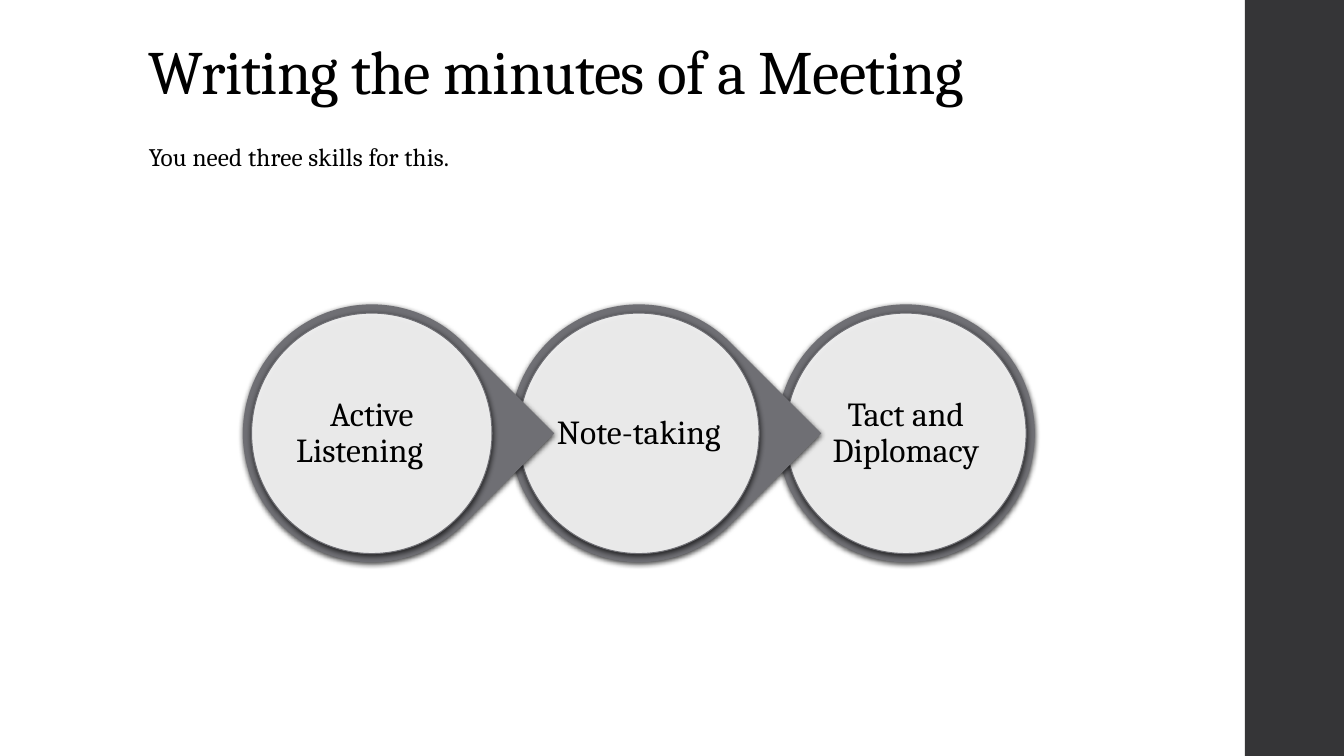
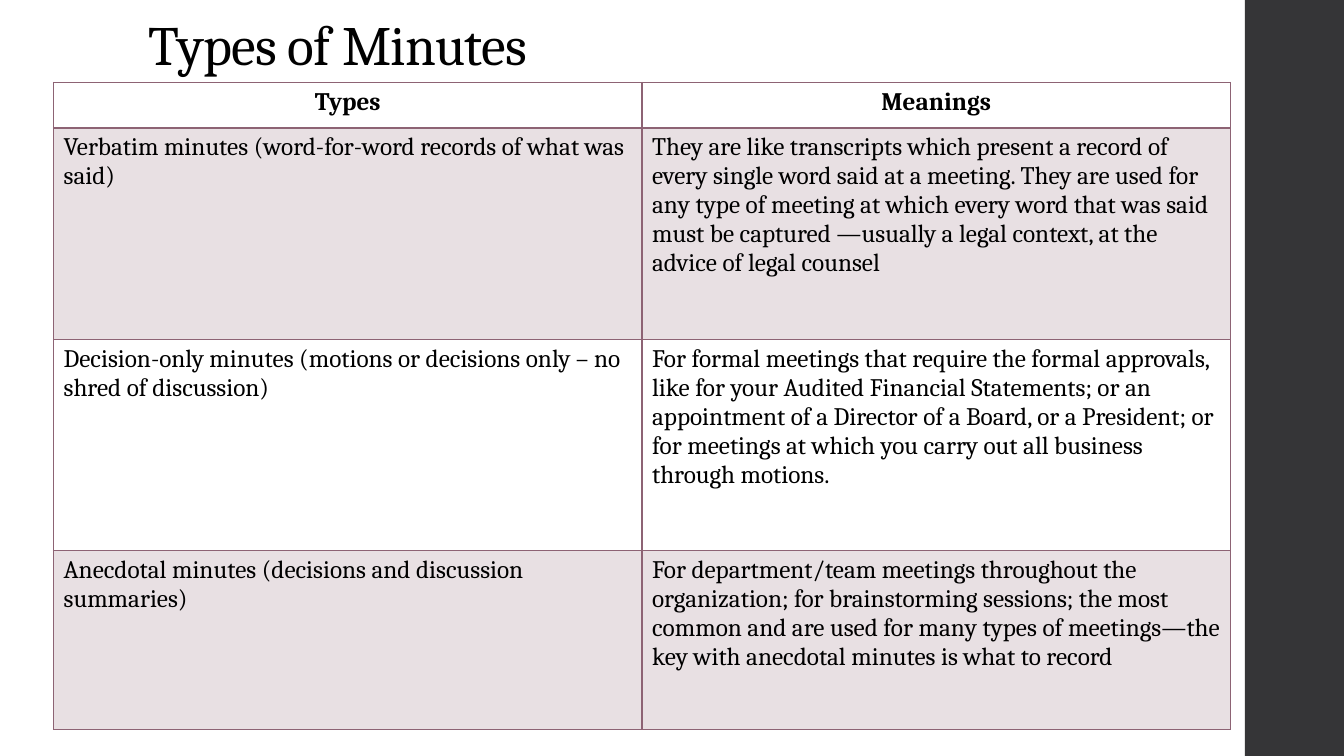
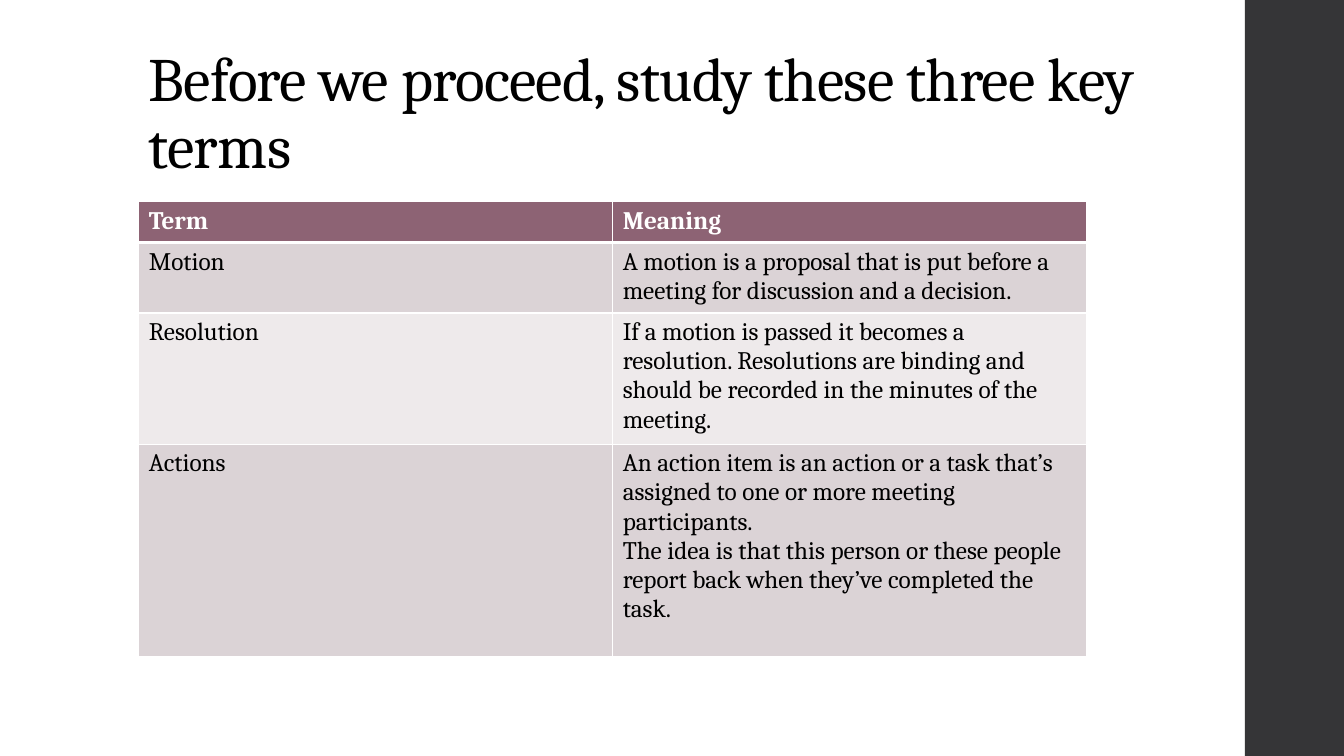
import dataclasses

import lxml.etree
import pptx
import pptx.dml.color
import pptx.enum.shapes
import pptx.enum.text
import pptx.oxml.ns
import pptx.util

Cm = pptx.util.Cm
Pt = pptx.util.Pt
PRESET = pptx.enum.shapes.MSO_SHAPE
ALIGN = pptx.enum.text.PP_ALIGN
ANCHOR = pptx.enum.text.MSO_ANCHOR


@dataclasses.dataclass(frozen=True)
class Theme:
    font: str = "Cambria"
    ink: str = "000000"
    paper: str = "FFFFFF"
    band: str = "353537"
    ring: str = "6F6F74"
    plum: str = "8D6374"
    plum_wash: str = "E8E0E3"
    plum_dark_row: str = "DBD3D6"
    plum_light_row: str = "EEEAEB"
    title_size: float = 44
    small_title_size: float = 39.6
    skill_size: float = 24
    body_size: float = 18


@dataclasses.dataclass(frozen=True)
class TableLook:
    header_fill: str
    header_ink: str
    header_align: object
    row_fills: tuple
    border: str
    header_rule: float


THEME = Theme()
SLIDE_WIDTH, SLIDE_HEIGHT = 33.87, 19.05
BAND_LEFT = 31.37
MARGIN = 3.5

OUTLINED = TableLook(None, THEME.ink, ALIGN.CENTER,
                     (THEME.plum_wash, None), THEME.plum, 2)
BANDED = TableLook(THEME.plum, THEME.paper, ALIGN.LEFT,
                   (THEME.plum_dark_row, THEME.plum_light_row), THEME.paper, 3)

SKILLS = ["Active Listening\t", "Note-taking", "Tact and Diplomacy"]

MINUTES_TYPES = [
    ("Types", "Meanings"),
    ("Verbatim minutes (word-for-word records of what was said)",
     "They are like transcripts which present a record of every single word said "
     "at a meeting. They are used for any type of meeting at which every word that "
     "was said must be captured —usually a legal context, at the advice of legal "
     "counsel"),
    ("Decision-only minutes (motions or decisions only – no shred of discussion)",
     "For formal meetings that require the formal approvals, like for your Audited "
     "Financial Statements; or an appointment of a Director of a Board, or a "
     "President; or for meetings at which you carry out all business through "
     "motions."),
    ("Anecdotal minutes (decisions and discussion summaries)",
     "For department/team meetings throughout the organization; for brainstorming "
     "sessions; the most common and are used for many types of meetings—the key "
     "with anecdotal minutes is what to record"),
]

KEY_TERMS = [
    ("Term", "Meaning"),
    ("Motion",
     "A motion is a proposal that is put before a meeting for discussion and a "
     "decision."),
    ("Resolution",
     "If a motion is passed it becomes a resolution. Resolutions are binding and "
     "should be recorded in the minutes of the meeting."),
    ("Actions",
     "An action item is an action or a task that’s assigned to one or more meeting "
     "participants.\nThe idea is that this person or these people report back when "
     "they’ve completed the task."),
]


def apply_format(target, values):
    for attribute, value in values.items():
        setattr(target, attribute, value)


def rgb(code):
    return pptx.dml.color.RGBColor.from_string(code)


def add_node(parent, tag, **attributes):
    node = lxml.etree.SubElement(parent, pptx.oxml.ns.qn(tag))
    for key, value in attributes.items():
        node.set(key, str(value))
    return node


def paint(fill, color):
    if color is None:
        fill.background()
    else:
        fill.solid()
        fill.fore_color.rgb = rgb(color)


def write(frame, text, size, color=THEME.ink, bold=False, align=ALIGN.LEFT,
          line_spacing=1.0, tracking=0):
    frame.word_wrap = True
    for index, line in enumerate(text.split("\n")):
        paragraph = frame.add_paragraph() if index else frame.paragraphs[0]
        apply_format(paragraph, {"alignment": align, "line_spacing": line_spacing})
        run = paragraph.add_run()
        run.text = line
        apply_format(run.font, {"name": THEME.font, "size": Pt(size), "bold": bold})
        run.font.color.rgb = rgb(color)
        if tracking:
            run._r.get_or_add_rPr().set("spc", str(tracking))


def add_text(slide, text, left, top, width, height, size, anchor, **style):
    frame = slide.shapes.add_textbox(
        Cm(left), Cm(top), Cm(width), Cm(height)).text_frame
    frame.vertical_anchor = anchor
    write(frame, text, size, **style)


def add_preset(slide, preset, left, top, width, height, color):
    shape = slide.shapes.add_shape(preset, Cm(left), Cm(top), Cm(width), Cm(height))
    shape.shadow.inherit = False
    paint(shape.fill, color)
    shape.line.fill.background()
    return shape


def add_soft_shadow(shape):
    effects = shape._element.spPr.find(pptx.oxml.ns.qn("a:effectLst"))
    shadow = add_node(effects, "a:outerShdw", blurRad=Pt(4), dist=Pt(1.2),
                      dir=5400000, rotWithShape=0)
    black = add_node(shadow, "a:srgbClr", val=THEME.ink)
    add_node(black, "a:alpha", val=75000)


def add_titled_slide(deck, title, bottom, size=THEME.title_size):
    slide = deck.slides.add_slide(deck.slide_layouts[6])
    add_preset(slide, PRESET.RECTANGLE, BAND_LEFT, 0,
               SLIDE_WIDTH - BAND_LEFT, SLIDE_HEIGHT, THEME.band)
    top = min(1, bottom - 1)
    add_text(slide, title, MARGIN, top, 26.92, bottom - top, size, ANCHOR.BOTTOM,
             line_spacing=0.9, tracking=-50)
    return slide


def add_skill(slide, skill, left, top, points_on):
    diameter, rim = 6.5, 0.22
    ring = add_preset(slide, PRESET.TEAR if points_on else PRESET.OVAL,
                      left, top, diameter, diameter, THEME.ring)
    ring.rotation = 45 if points_on else 0
    add_soft_shadow(ring)

    face_size = diameter - 2 * rim
    face = add_preset(slide, PRESET.OVAL, left + rim, top + rim,
                      face_size, face_size, THEME.paper)
    add_soft_shadow(face)
    face_color = face._element.spPr.find(
        pptx.oxml.ns.qn("a:solidFill")).find(pptx.oxml.ns.qn("a:srgbClr"))
    add_node(face_color, "a:alpha", val=90000)
    face.line.color.rgb = rgb(THEME.ring)
    face.line.width = Pt(0.75)
    apply_format(face.text_frame, {
        "vertical_anchor": ANCHOR.MIDDLE,
        "margin_left": Cm(0.05), "margin_right": Cm(0.05),
        "margin_top": Cm(0.05), "margin_bottom": Cm(0.05),
    })
    write(face.text_frame, skill, THEME.skill_size,
          align=ALIGN.CENTER, line_spacing=0.9)


def add_skill_chain(slide, skills, left, top, pitch):
    last = len(skills) - 1
    for index in range(last, -1, -1):
        add_skill(slide, skills[index], left + index * pitch, top, index < last)


def set_borders(cell, color, top, bottom):
    properties = cell._tc.get_or_add_tcPr()
    for side, width in {"L": 1, "R": 1, "T": top, "B": bottom}.items():
        line = add_node(properties, "a:ln" + side, w=Pt(width))
        add_node(add_node(line, "a:solidFill"), "a:srgbClr", val=color)


def add_text_table(slide, rows, left, top, column_width, row_heights, look):
    columns = len(rows[0])
    table = slide.shapes.add_table(
        len(rows), columns, Cm(left), Cm(top),
        Cm(column_width * columns), Cm(sum(row_heights))).table
    apply_format(table, {"first_row": False, "horz_banding": False})
    for column in table.columns:
        column.width = Cm(column_width)
    for row_index, (texts, height) in enumerate(zip(rows, row_heights)):
        table.rows[row_index].height = Cm(height)
        header = row_index == 0
        fill = look.header_fill if header else look.row_fills[(row_index - 1) % 2]
        for column_index, text in enumerate(texts):
            cell = table.cell(row_index, column_index)
            set_borders(cell, look.border,
                        top=look.header_rule if row_index == 1 else 1,
                        bottom=look.header_rule if header else 1)
            paint(cell.fill, fill)
            write(cell.text_frame, text, THEME.body_size,
                  color=look.header_ink if header else THEME.ink, bold=header,
                  align=look.header_align if header else ALIGN.LEFT)


def main():
    deck = pptx.Presentation()
    apply_format(deck, {"slide_width": Cm(SLIDE_WIDTH),
                        "slide_height": Cm(SLIDE_HEIGHT)})

    skills_slide = add_titled_slide(deck, "Writing the minutes of a Meeting", 2.85)
    add_text(skills_slide, "You need three skills for this.", MARGIN, 3.5, 23.88, 1.2,
             THEME.body_size, ANCHOR.TOP, line_spacing=0.95, tracking=10)
    add_skill_chain(skills_slide, SKILLS, left=6.12, top=7.67, pitch=6.73)

    types_slide = add_titled_slide(deck, "Types of Minutes", 2.08,
                                   THEME.small_title_size)
    add_text_table(types_slide, MINUTES_TYPES, 1.35, 2.08, 14.83,
                   (1.14, 5.33, 5.33, 4.5), OUTLINED)

    terms_slide = add_titled_slide(
        deck, "Before we proceed, study these three key terms", 4.7)
    add_text_table(terms_slide, KEY_TERMS, MARGIN, 5.08, 11.94,
                   (1.03, 1.7, 3.2, 5.36), BANDED)

    deck.save("out.pptx")


if __name__ == "__main__":
    main()
